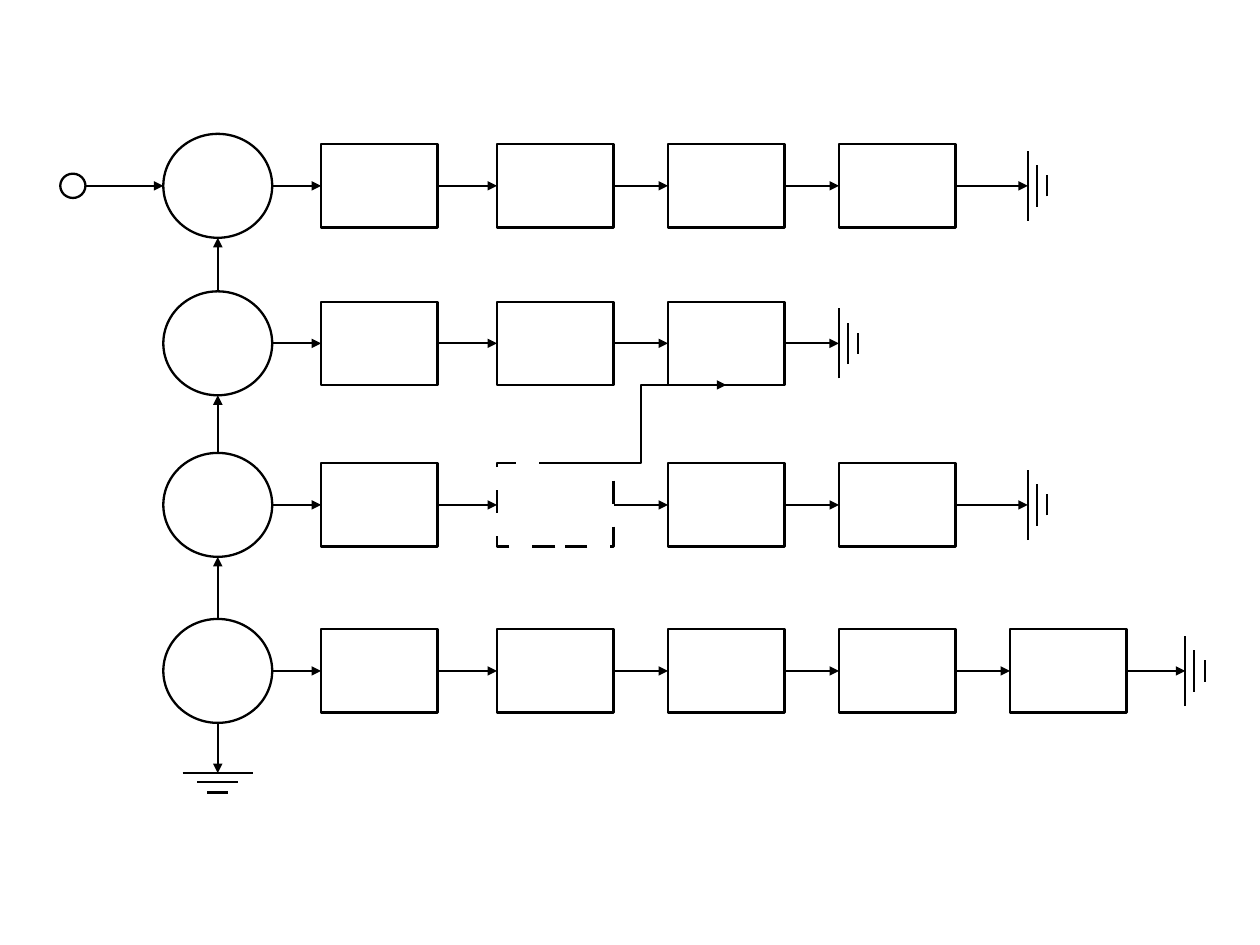
from lxml import etree
from pptx import Presentation
from pptx.dml.color import RGBColor
from pptx.enum.shapes import MSO_CONNECTOR as LINK, MSO_SHAPE as SHAPE
from pptx.oxml.ns import qn
from pptx.util import Cm, Pt

# Content: each row has a height, a number of boxes and the place of its ground (cm)
ROWS = [
    {"y": 4.13, "boxes": 4, "ground": 22.84},
    {"y": 7.63, "boxes": 3, "ground": 18.64},
    {"y": 11.22, "boxes": 4, "ground": 22.84},
    {"y": 14.91, "boxes": 5, "ground": 26.34},
]
DASHED = (2, 1)        # row and column of the dashed box
ELBOW_TARGET = (1, 2)  # box that the dashed one also points to

# Layout (cm)
BOX_WIDTH, BOX_HEIGHT = 2.59, 1.85
CIRCLE_WIDTH, CIRCLE_HEIGHT = 2.42, 2.31
SOURCE_WIDTH, SOURCE_HEIGHT = 0.56, 0.54
FIRST_BOX, SECOND_BOX, BOX_STEP = 8.43, 12.34, 3.8  # centres
CIRCLE_X, SOURCE_X = 4.84, 1.62
BOTTOM_GROUND = 17.18
GROUND_BARS = [(0, 1.56), (0.2, 0.92), (0.43, 0.47)]  # offset, length
INK = "000000"
LINE_WIDTH = Pt(1.45)

deck = Presentation()
deck.slide_width, deck.slide_height = Cm(28), Cm(21)
page = deck.slides.add_slide(deck.slide_layouts[6])


def color(value):
    return RGBColor.from_string(value)


def ink(line):
    line.color.rgb = color(INK)
    line.width = LINE_WIDTH


def add_node(kind, x, y, width, height):
    node = page.shapes.add_shape(
        kind, Cm(x - width / 2), Cm(y - height / 2), Cm(width), Cm(height))
    node.shadow.inherit = False
    node.fill.background()
    ink(node.line)
    return node


def add_line(start, end, kind=LINK.STRAIGHT, arrow=False):
    line = page.shapes.add_connector(kind, *(Cm(v) for v in (*start, *end)))
    ink(line.line)
    properties = line._element.spPr
    if arrow:
        etree.SubElement(properties.find(qn("a:ln")), qn("a:tailEnd"), type="triangle")
    etree.SubElement(properties, qn("a:effectLst"))


def add_ground(x, y, upright):
    for offset, length in GROUND_BARS:
        half = length / 2
        if upright:
            add_line((x + offset, y + half), (x + offset, y - half))
        else:
            add_line((x - half, y + offset), (x + half, y + offset))


def box_x(column):
    return FIRST_BOX if column == 0 else SECOND_BOX + (column - 1) * BOX_STEP


# Rows: circle, chain of boxes, ground
for number, row in enumerate(ROWS):
    y = row["y"]
    add_node(SHAPE.OVAL, CIRCLE_X, y, CIRCLE_WIDTH, CIRCLE_HEIGHT)
    previous_end = CIRCLE_X + CIRCLE_WIDTH / 2
    for column in range(row["boxes"]):
        x = box_x(column)
        box = add_node(SHAPE.RECTANGLE, x, y, BOX_WIDTH, BOX_HEIGHT)
        if (number, column) == DASHED:
            dashes = etree.SubElement(box.line._get_or_add_ln(), qn("a:custDash"))
            etree.SubElement(dashes, qn("a:ds"), d="1000000", sp="1000000")
        add_line((previous_end, y), (x - BOX_WIDTH / 2, y), arrow=True)
        previous_end = x + BOX_WIDTH / 2
    add_line((previous_end, y), (row["ground"], y), arrow=True)
    add_ground(row["ground"], y, upright=True)

# Source at the left of the first circle
first_y = ROWS[0]["y"]
add_node(SHAPE.OVAL, SOURCE_X, first_y, SOURCE_WIDTH, SOURCE_HEIGHT)
add_line((SOURCE_X + SOURCE_WIDTH / 2, first_y),
         (CIRCLE_X - CIRCLE_WIDTH / 2, first_y), arrow=True)

# Circle column: upward arrows and bottom ground
radius = CIRCLE_HEIGHT / 2
for upper, lower in zip(ROWS, ROWS[1:]):
    add_line((CIRCLE_X, lower["y"] - radius), (CIRCLE_X, upper["y"] + radius), arrow=True)
add_line((CIRCLE_X, ROWS[-1]["y"] + radius), (CIRCLE_X, BOTTOM_GROUND), arrow=True)
add_ground(CIRCLE_X, BOTTOM_GROUND, upright=False)

# Elbow from the dashed box up to the row above
(from_row, from_column), (to_row, to_column) = DASHED, ELBOW_TARGET
add_line((box_x(from_column), ROWS[from_row]["y"] - BOX_HEIGHT / 2),
         (box_x(to_column), ROWS[to_row]["y"] + BOX_HEIGHT / 2), LINK.ELBOW, arrow=True)

deck.save("out.pptx")
